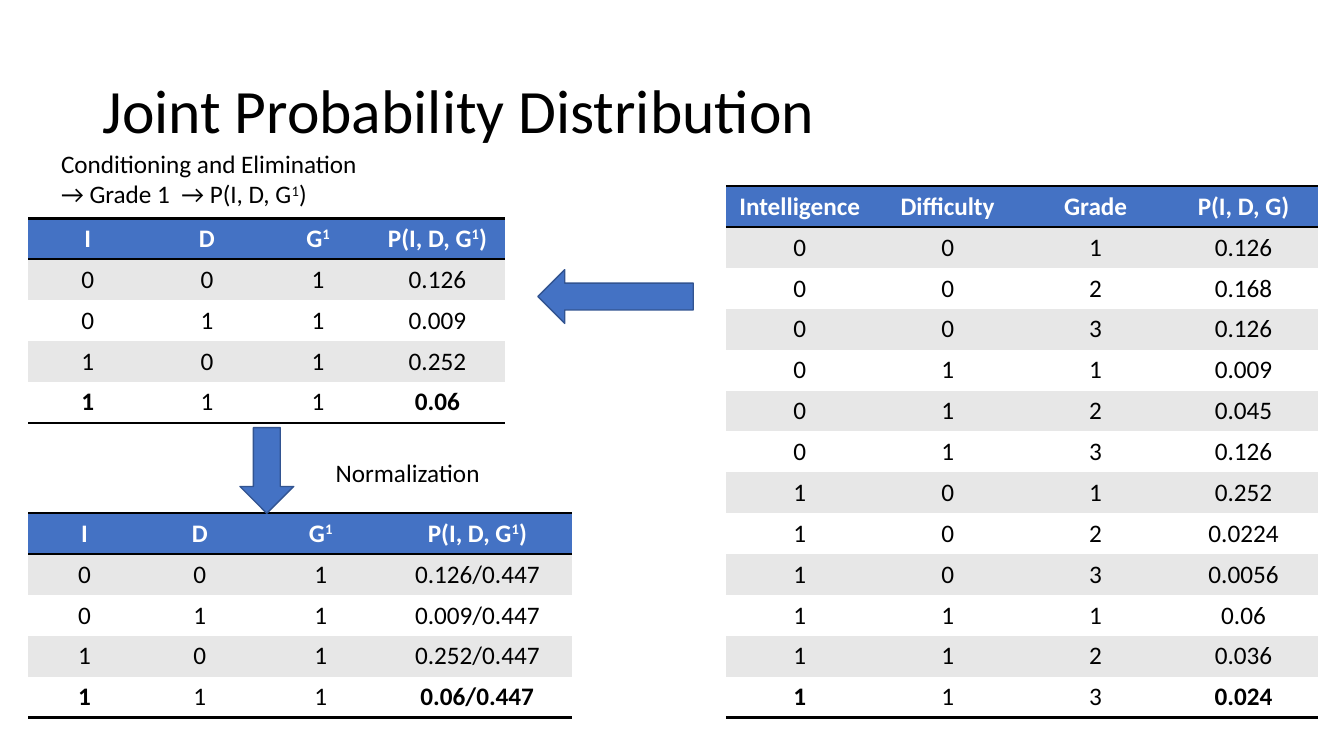
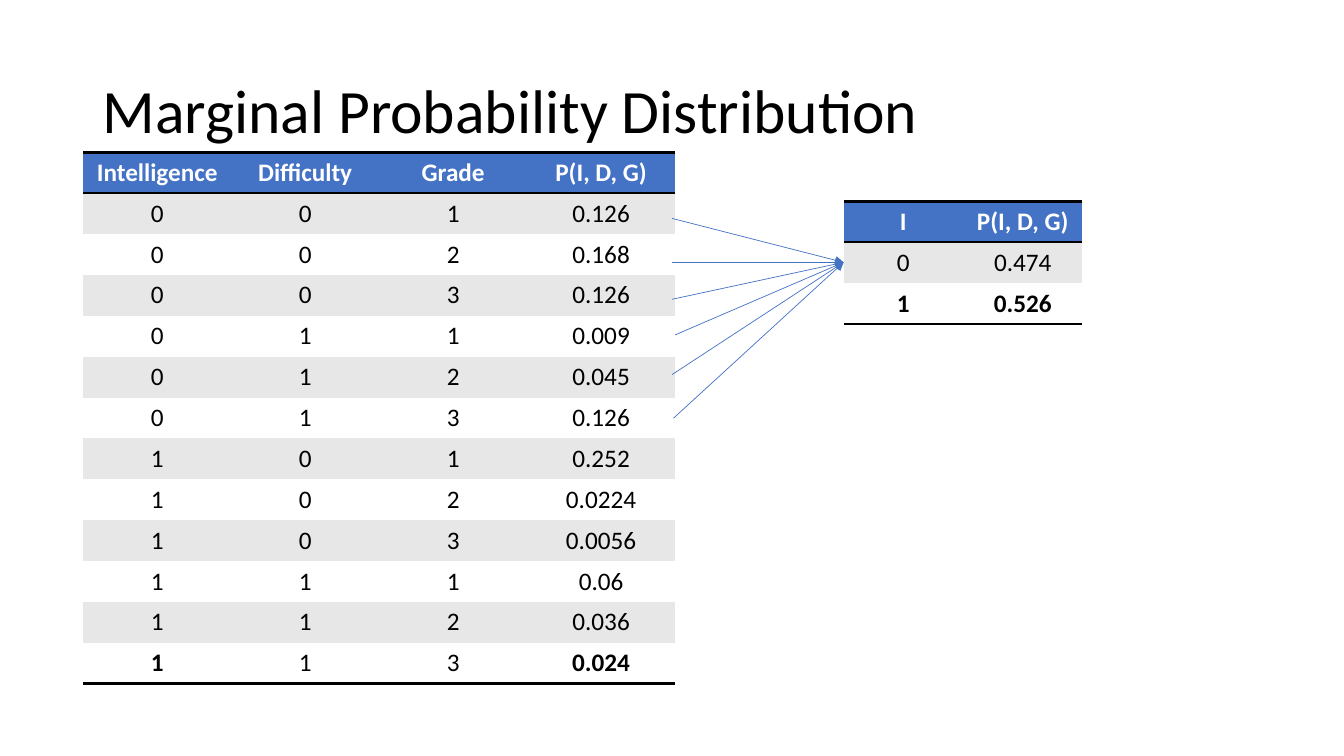
import dataclasses

import lxml.etree
import pptx
import pptx.dml.color
import pptx.enum.shapes
import pptx.enum.text
import pptx.oxml.ns
import pptx.util

Pt = pptx.util.Pt
qn = pptx.oxml.ns.qn
RGB = pptx.dml.color.RGBColor.from_string
ALIGN = pptx.enum.text.PP_ALIGN
ANCHOR = pptx.enum.text.MSO_ANCHOR
SHAPE = pptx.enum.shapes.MSO_SHAPE


@dataclasses.dataclass(frozen=True)
class Theme:
    font: str = "Calibri"
    title_size: float = 44
    body_size: float = 18
    ink: str = "000000"
    paper: str = "FFFFFF"
    accent: str = "4472C4"
    outline: str = "325491"
    band: str = "E7E7E7"
    row_height: float = 29.2
    rule_width: float = 2


def apply(target, values):
    for name, value in values.items():
        setattr(target, name, value)


class Deck:
    def __init__(self, theme):
        self.theme = theme
        self.prs = pptx.Presentation()
        apply(self.prs, {"slide_width": Pt(960), "slide_height": Pt(540)})
        self.slide = None

    def add_text(self, paragraph, text, size, color, bold=False):
        """Add runs; every second piece between carets is superscript."""
        for i, piece in enumerate(text.split("^")):
            if not piece:
                continue
            run = paragraph.add_run()
            run.text = piece
            apply(run.font, {"name": self.theme.font, "size": Pt(size), "bold": bold})
            run.font.color.rgb = RGB(color)
            if i % 2:
                run._r.get_or_add_rPr().set("baseline", "30000")

    def new_slide(self, title):
        self.slide = self.prs.slides.add_slide(self.prs.slide_layouts[5])
        heading = self.slide.shapes.title
        apply(heading, {"left": Pt(66), "top": Pt(28.75),
                        "width": Pt(828), "height": Pt(104.4)})
        apply(heading.text_frame, {"vertical_anchor": ANCHOR.MIDDLE, "word_wrap": True})
        line = heading.text_frame.paragraphs[0]
        apply(line, {"alignment": ALIGN.LEFT, "line_spacing": 0.9})
        self.add_text(line, title, self.theme.title_size, self.theme.ink)

    def label(self, box, *lines):
        frame = self.slide.shapes.add_textbox(*map(Pt, box)).text_frame
        frame.word_wrap = False
        for i, text in enumerate(lines):
            paragraph = frame.add_paragraph() if i else frame.paragraphs[0]
            self.add_text(paragraph, text, self.theme.body_size, self.theme.ink)

    def block_arrow(self, kind, box):
        arrow = self.slide.shapes.add_shape(kind, *map(Pt, box))
        arrow.shadow.inherit = False
        arrow.fill.solid()
        arrow.fill.fore_color.rgb = RGB(self.theme.accent)
        arrow.line.color.rgb = RGB(self.theme.outline)
        arrow.line.width = Pt(1)

    def thin_arrow(self, start, end):
        link = self.slide.shapes.add_connector(
            pptx.enum.shapes.MSO_CONNECTOR.STRAIGHT, *map(Pt, start + end))
        link.line.color.rgb = RGB(self.theme.accent)
        link.line.width = Pt(0.5)
        props = link._element.spPr
        head = lxml.etree.SubElement(props.find(qn("a:ln")), qn("a:tailEnd"))
        head.set("type", "triangle")
        lxml.etree.SubElement(props, qn("a:effectLst"))

    def borders(self, cell, ruled):
        """Draw black rules on the sides named in ruled and clear the others."""
        props = cell._tc.get_or_add_tcPr()
        for i, side in enumerate("LRTB"):
            line = lxml.etree.Element(qn("a:ln" + side))
            if side in ruled:
                line.set("w", str(int(Pt(self.theme.rule_width))))
                fill = lxml.etree.SubElement(line, qn("a:solidFill"))
                lxml.etree.SubElement(fill, qn("a:srgbClr")).set("val", self.theme.ink)
            else:
                lxml.etree.SubElement(line, qn("a:noFill"))
            props.insert(i, line)

    def table(self, left, top, widths, rows):
        theme, last = self.theme, len(rows) - 1
        table = self.slide.shapes.add_table(
            len(rows), len(widths), Pt(left), Pt(top), Pt(sum(widths)),
            Pt(theme.row_height * len(rows))).table
        apply(table, {"first_row": False, "horz_banding": False})
        for column, width in zip(table.columns, widths):
            column.width = Pt(width)
        for r, values in enumerate(rows):
            table.rows[r].height = Pt(theme.row_height)
            fill = theme.band if r % 2 else theme.paper
            ruled = {0: "TB", 1: "T"}.get(r, "B" if r == last else "")
            for c, value in enumerate(values):
                cell = table.cell(r, c)
                cell.fill.solid()
                cell.fill.fore_color.rgb = RGB(fill if r else theme.accent)
                self.borders(cell, ruled)
                paragraph = cell.text_frame.paragraphs[0]
                paragraph.alignment = ALIGN.CENTER
                # The header and the outer cells of the last row are bold
                bold = r == 0 or (r == last and c in (0, len(widths) - 1))
                self.add_text(paragraph, value, theme.body_size,
                              theme.ink if r else theme.paper, bold)


# Probabilities shared by both slides
PROBABILITIES = ["0.126", "0.168", "0.126", "0.009", "0.045", "0.126",
                 "0.252", "0.0224", "0.0056", "0.06", "0.036", "0.024"]
JOINT = [["Intelligence", "Difficulty", "Grade", "P(I, D, G)"]] + [
    [str(n // 6), str(n // 3 % 2), str(n % 3 + 1), p]
    for n, p in enumerate(PROBABILITIES)]
JOINT_WIDTHS = [105.7] * 4
GRADE_ONE = [["I", "D", "G^1", "P(I, D, G^1^)"]] + [
    row for row in JOINT[1:] if row[2] == "1"]
NORMALIZED = GRADE_ONE[:1] + [row[:3] + [row[3] + "/0.447"] for row in GRADE_ONE[1:]]
MARGINAL = [["I", "P(I, D, G)"], ["0", "0.474"], ["1", "0.526"]]


def joint_slide(deck):
    deck.new_slide("Joint Probability Distribution")
    deck.table(518.4, 133, JOINT_WIDTHS, JOINT)
    # Conditioning on grade 1
    deck.label((36.5, 102.4, 228, 51), "Conditioning and Elimination",
               "→ Grade 1  → P(I, D, G^1^)")
    deck.table(20, 156, [85.2, 85.2, 73.6, 97], GRADE_ONE)
    deck.block_arrow(SHAPE.LEFT_ARROW, (384.2, 192.6, 111, 38.4))
    # Normalization
    deck.table(20, 366.6, [80.6, 84.2, 88.6, 135.2], NORMALIZED)
    deck.block_arrow(SHAPE.DOWN_ARROW, (171.4, 305.5, 38.4, 61.2))
    deck.label((232.6, 322.8, 118.8, 29), "Normalization")


def marginal_slide(deck):
    deck.new_slide("Marginal Probability Distribution")
    deck.table(59.5, 108.8, JOINT_WIDTHS, JOINT)
    deck.table(602.6, 143.8, [85.3] * 2, MARGINAL)
    # Rows with intelligence 0 add up to one marginal value
    for start in ((480, 156), (480, 187.4), (480, 213.8),
                  (482.3, 239.2), (480, 267.6), (481, 298.8)):
        deck.thin_arrow(start, (602.6, 187.4))


def main():
    deck = Deck(Theme())
    joint_slide(deck)
    marginal_slide(deck)
    deck.prs.save("out.pptx")


if __name__ == "__main__":
    main()
